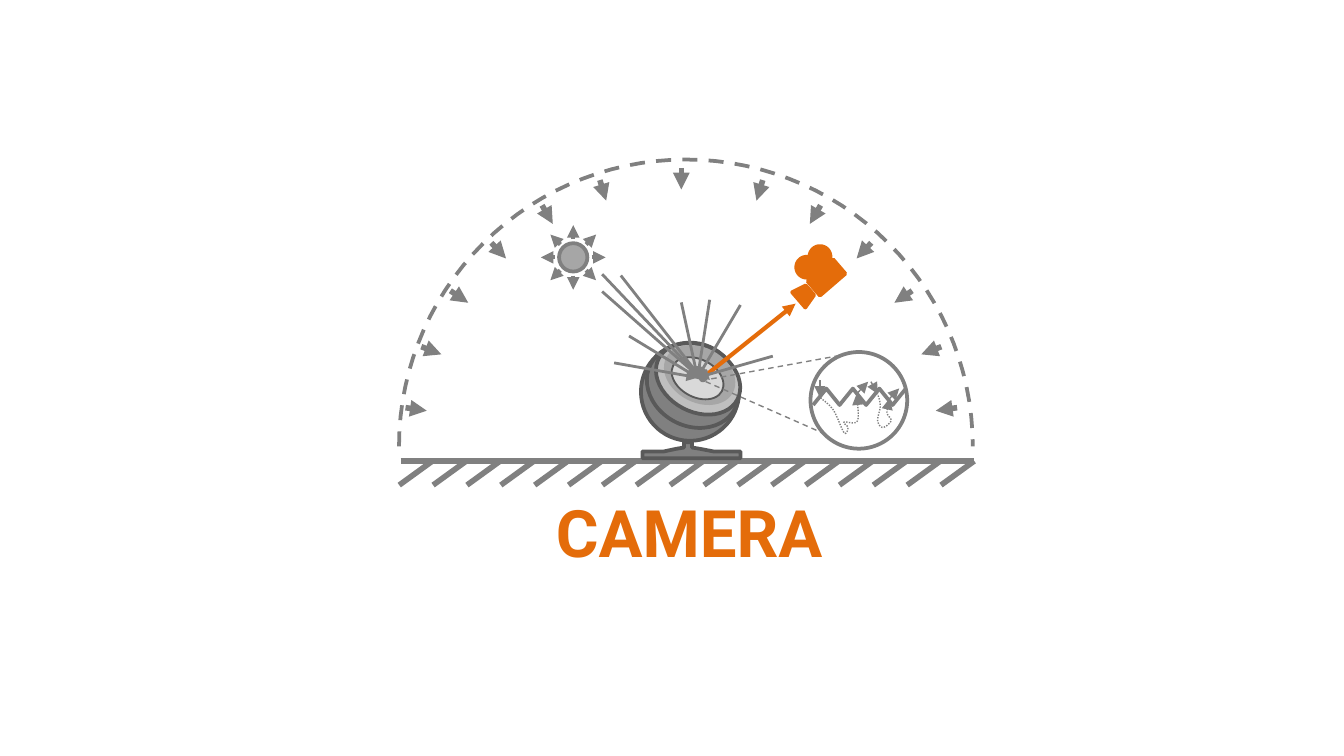
"""Build a slide that shows light scattered by an object towards a camera."""
from math import acos, atan2, cos, degrees, dist, radians, sin

from lxml.etree import SubElement
from pptx import Presentation
from pptx.dml.color import RGBColor
from pptx.enum.dml import MSO_LINE
from pptx.enum.shapes import MSO_CONNECTOR, MSO_SHAPE
from pptx.enum.text import MSO_ANCHOR, PP_ALIGN
from pptx.oxml.ns import qn
from pptx.util import Pt

GRAY = RGBColor(0x80, 0x80, 0x80)
DARK = RGBColor(0x59, 0x59, 0x59)
MEDIUM = RGBColor(0xA6, 0xA6, 0xA6)
LIGHT = RGBColor(0xBF, 0xBF, 0xBF)
PALE = RGBColor(0xD9, 0xD9, 0xD9)
WHITE = RGBColor(0xFF, 0xFF, 0xFF)
ORANGE = RGBColor(0xE4, 0x6C, 0x0A)

GROUND_Y = 247
HORIZON_Y = 239.2
HIT = (376.6, 203.8)
SCATTER = (373.7, 202.3)
OBJECT_TILT = 297.7
CAMERA_TILT = 49.3


def polar(center, radius, angle):
    return center[0] + radius * cos(radians(angle)), center[1] + radius * sin(radians(angle))


def arc(center, radius, first, last, steps=60):
    sweep = last - first
    return [polar(center, radius, first + sweep * step / steps) for step in range(steps + 1)]


def joined_circles(one, other, radius):
    """Return the outer edge of two equal circles that overlap."""
    facing = degrees(atan2(other[1] - one[1], other[0] - one[0]))
    overlap = degrees(acos(dist(one, other) / 2 / radius))
    edge = []
    for center, angle in ((one, facing), (other, facing + 180)):
        edge += arc(center, radius, angle + overlap, angle + 360 - overlap)
    return edge


def zigzag(left, step, low, high, count):
    return [(left + step * index, high if index % 2 else low) for index in range(count)]


def stacked_levels(levels):
    """Return the outline of a solid given as (left, right, y) from top to bottom."""
    left_side = [(left, y) for left, _, y in levels]
    right_side = [(right, y) for _, right, y in levels]
    return right_side + left_side[::-1]


def smooth(waypoints, steps=8):
    """Return a Catmull-Rom curve through the waypoints."""
    padded = [waypoints[0], *waypoints, waypoints[-1]]
    curve = [waypoints[0]]
    for before, start, end, after in zip(padded, padded[1:], padded[2:], padded[3:]):
        for step in range(1, steps + 1):
            t = step / steps
            curve.append(tuple(
                b + (c - a) * t / 2 + (2 * a - 5 * b + 4 * c - d) * t ** 2 / 2
                + (3 * b - a - 3 * c + d) * t ** 3 / 2
                for a, b, c, d in zip(before, start, end, after)))
    return curve


def style_line(line, color, width, dash=None, head=False, tail=False):
    line.color.rgb = color
    line.width = Pt(width)
    if dash:
        line.dash_style = dash
    for tag, wanted in (("a:headEnd", head), ("a:tailEnd", tail)):
        if wanted:
            SubElement(line._get_or_add_ln(), qn(tag), type="triangle")


def style_shape(shape, fill, line_color, width, **line_format):
    shape.shadow.inherit = False
    if fill is None:
        shape.fill.background()
    else:
        shape.fill.solid()
        shape.fill.fore_color.rgb = fill
    if line_color is None:
        shape.line.fill.background()
    else:
        style_line(shape.line, line_color, width, **line_format)


def add_line(slide, start, end, width, color=GRAY, **line_format):
    points = [Pt(value) for value in (*start, *end)]
    connector = slide.shapes.add_connector(MSO_CONNECTOR.STRAIGHT, *points)
    style_line(connector.line, color, width, **line_format)
    SubElement(connector._element.spPr, qn("a:effectLst"))


def add_preset(slide, kind, center, size, fill, line_color=GRAY, width=2, rotation=0):
    corner = [middle - length / 2 for middle, length in zip(center, size)]
    shape = slide.shapes.add_shape(kind, *[Pt(value) for value in (*corner, *size)])
    shape.rotation = rotation
    style_shape(shape, fill, line_color, width)


def add_outline(slide, contours, fill=None, line_color=GRAY, width=2, **line_format):
    builder = None
    for contour in contours:
        first, *rest = [(Pt(x), Pt(y)) for x, y in contour]
        if builder is None:
            builder = slide.shapes.build_freeform(*first)
        else:
            builder.move_to(*first)
        builder.add_line_segments(rest, close=fill is not None)
    style_shape(builder.convert_to_shape(), fill, line_color, width, **line_format)


def add_rays(slide, origin, ends):
    for end in ends:
        add_line(slide, origin, end, 1.5, head=True)


def add_sun(slide):
    center = (307.1, 137.9)
    add_preset(slide, MSO_SHAPE.OVAL, center, (15.2, 15.2), MEDIUM)
    for angle in range(0, 360, 45):
        add_line(slide, polar(center, 9.8, angle), polar(center, 17.3, angle), 2.25, tail=True)


def add_ground(slide):
    add_line(slide, (214.6, GROUND_Y), (522, GROUND_Y), 3)
    for index in range(17):
        left = 213.9 + 18.14 * index
        add_line(slide, (left, GROUND_Y + 12.9), (left + 17.8, GROUND_Y), 3)


def add_object(slide):
    stem = [(366.5, 370.8, 236.9), (366.5, 370.8, 239.8)]
    foot = [(362.2, 375.1, 240.5), (355.7, 382.3, 241.9)]
    plate = [(344.2, 396.7, 241.9), (344.2, 396.7, 245.5)]
    ball = arc((369.7, 209.9), 26.3, 0, 360)
    add_outline(slide, [stacked_levels(stem + foot + plate), ball], GRAY, DARK)
    band = ((371.2, 207), (42.5, 51.1), GRAY, DARK, 2)
    rim = ((374, 203), (35.3, 47.5), LIGHT, DARK, 2)
    bowl = ((374.8, 200.9), (29.5, 40.3), MEDIUM, None, 0)
    core = ((373.7, 202.7), (20.2, 29.5), PALE, DARK, 1)
    for ellipse in (band, rim, bowl, core):
        add_preset(slide, MSO_SHAPE.OVAL, *ellipse, OBJECT_TILT)


def add_camera(slide):
    add_line(slide, (426.2, 162.7), (376.6, 202.3), 2.25, ORANGE, head=True)
    body = (MSO_SHAPE.RECTANGLE, (442.8, 148.7), (10.1, 18))
    lens = (MSO_SHAPE.TRAPEZOID, (430.9, 158.1), (10.8, 7.9))
    for part in (body, lens):
        add_preset(slide, *part, ORANGE, ORANGE, rotation=CAMERA_TILT)
    reels = joined_circles((439.3, 137.5), (432.2, 143.2), 5.6)
    add_outline(slide, [reels], ORANGE, ORANGE)


def add_dome(slide):
    add_outline(slide, [arc((367.5, HORIZON_Y), 153.7, 180, 360)], dash=MSO_LINE.DASH)
    center = (365, HORIZON_Y)
    left_angles = list(range(188, 254, 13))
    right_angles = [540 - angle for angle in left_angles]
    for angle in left_angles + [270] + right_angles:
        add_line(slide, polar(center, 149.2, angle), polar(center, 137.7, angle), 3, tail=True)


def add_zoom(slide):
    add_preset(slide, MSO_SHAPE.OVAL, (460.1, 214.5), (51.8, 51.8), None)
    right_entry, right_exit = (476.6, 213.5), (470.2, 211)
    left_entry, left_exit = (439.2, 212.8), (458.9, 211)
    right_path = [right_entry, (475.2, 221), (477.4, 225.4), (473, 229), (470.2, 225.4),
                  (471.6, 217.4), right_exit]
    left_path = [left_exit, (459.4, 225.4), (452.2, 226.1), (454.3, 229), (452.2, 231.8),
                 (446.4, 219.6), left_entry]
    for path in (right_path, left_path):
        add_outline(slide, [smooth(path)], width=0.75, dash=MSO_LINE.ROUND_DOT, head=True)
    for start, end in (((481.7, 208.1), right_entry), (right_exit, (466.6, 204.5)),
                       (left_entry, (439.2, 203.8)), ((465.1, 204.5), left_exit)):
        add_line(slide, start, end, 0.75, head=True)
    add_outline(slide, [zigzag(435.6, 7.1, 217, 208.2, 8)])
    for start in ((442.1, 232.6), (460.1, 188.6)):
        add_line(slide, start, HIT, 0.75, dash=MSO_LINE.DASH)
    add_preset(slide, MSO_SHAPE.OVAL, (376.6, 202.7), (2.2, 2.2), WHITE)


def add_title(slide, text):
    frame = slide.shapes.add_textbox(Pt(120.2), Pt(259.9), Pt(498.2), Pt(80.6)).text_frame
    for name, value in {"word_wrap": True, "vertical_anchor": MSO_ANCHOR.TOP}.items():
        setattr(frame, name, value)
    paragraph = frame.paragraphs[0]
    paragraph.alignment = PP_ALIGN.CENTER
    run = paragraph.add_run()
    run.text = text
    for name, value in {"name": "Roboto", "size": Pt(35), "bold": True}.items():
        setattr(run.font, name, value)
    run.font.color.rgb = ORANGE


def main():
    presentation = Presentation()
    presentation.slide_width, presentation.slide_height = Pt(720), Pt(405)
    slide = presentation.slides.add_slide(presentation.slide_layouts[6])
    add_sun(slide)
    add_ground(slide)
    add_object(slide)
    add_rays(slide, HIT, [(322.6, 146.9), (332.6, 147.6), (322.6, 156.2)])
    add_camera(slide)
    add_rays(slide, SCATTER, [(380.2, 160.6), (365, 162), (337, 180), (329, 194.4),
                              (396.7, 163.4), (414, 190.8)])
    add_dome(slide)
    add_zoom(slide)
    add_title(slide, "CAMERA")
    presentation.save("out.pptx")


if __name__ == "__main__":
    main()
